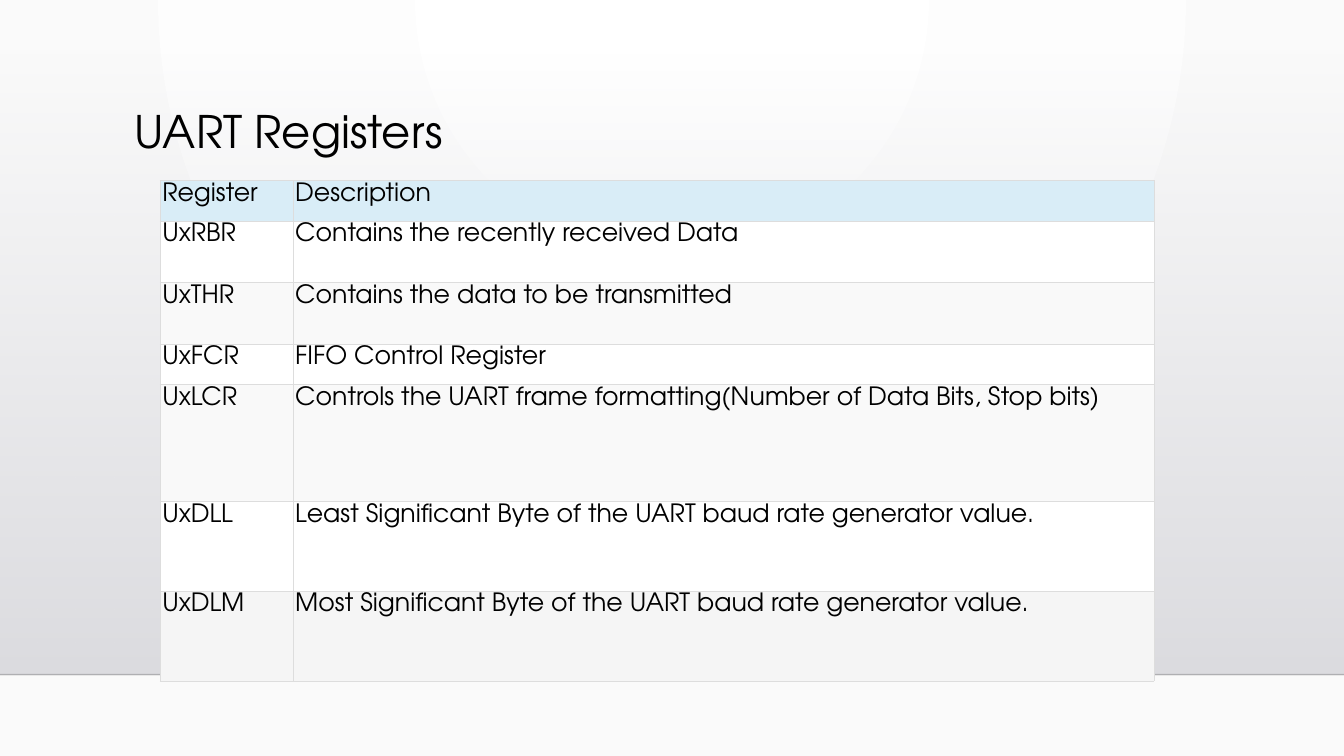
"""Build the UART Registers slide with its register table."""
from lxml import etree
from pptx import Presentation
from pptx.dml.color import RGBColor
from pptx.enum.shapes import MSO_CONNECTOR, MSO_SHAPE
from pptx.enum.text import MSO_ANCHOR
from pptx.oxml import parse_xml
from pptx.oxml.ns import nsdecls, qn
from pptx.util import Cm, Pt

RECTANGLE = MSO_SHAPE.RECTANGLE
STRAIGHT = MSO_CONNECTOR.STRAIGHT
TOP = MSO_ANCHOR.TOP
FONT = "TeX Gyre Adventor"
WIDTH, HEIGHT = Cm(33.87), Cm(19.05)
FLOOR = Cm(17)
INSET = Cm(0.05)
COLORS = {
    "text": "000000",
    "center": "FFFFFF",
    "edge": "FAFAFA",
    "shade_top": "DCDCE0",
    "shade_bottom": "DEDEE2",
    "floor_line": "000001",
    "border": "DDDDDD",
    "header": "D9EDF7",
    "white": "FFFFFF",
    "light": "F9F9F9",
    "last": "F5F5F5",
}
COLUMN_WIDTHS = [3.35, 21.69]
ROWS = [
    ("Register", "Description", 1.02, "header"),
    ("UxRBR", "Contains the recently received Data", 1.55, "white"),
    ("UxTHR", "Contains the data to be transmitted", 1.55, "light"),
    ("UxFCR", "FIFO Control Register", 1.02, "white"),
    ("UxLCR", "Controls the UART frame formatting(Number of Data Bits, Stop bits)", 2.95, "light"),
    ("UxDLL", "Least Significant Byte of the UART baud rate generator value.", 2.26, "white"),
    ("UxDLM", "Most Significant Byte of the UART baud rate generator value.", 2.26, "last"),
]


def rgb(name):
    """Return the named colour."""
    return RGBColor.from_string(COLORS[name])


def replace_gradient(parent, start, end, direction, start_alpha=100):
    """Swap the gradient in parent for a two-stop one with the given direction."""
    gradient = parse_xml(
        f'<a:gradFill {nsdecls("a")} rotWithShape="1"><a:gsLst>'
        f'<a:gs pos="0"><a:srgbClr val="{COLORS[start]}">'
        f'<a:alpha val="{start_alpha * 1000}"/></a:srgbClr></a:gs>'
        f'<a:gs pos="100000"><a:srgbClr val="{COLORS[end]}"/></a:gs>'
        f"</a:gsLst>{direction}</a:gradFill>"
    )
    parent.replace(parent.find(qn("a:gradFill")), gradient)


def set_background(slide):
    """Give the slide a round glow that starts at the top centre."""
    slide.background.fill.gradient()
    properties = slide.element.find(".//" + qn("p:bgPr"))
    direction = (
        '<a:path path="circle">'
        '<a:fillToRect l="43000" t="0" r="43000" b="100000"/></a:path>'
    )
    replace_gradient(properties, "center", "edge", direction)


def add_shade(slide):
    """Add the wall shade that darkens towards the floor."""
    shape = slide.shapes.add_shape(RECTANGLE, 0, Cm(1.3), WIDTH, FLOOR - Cm(1.3))
    shape.shadow.inherit = False
    shape.line.fill.background()
    shape.fill.gradient()
    direction = '<a:lin ang="5400000" scaled="0"/>'
    replace_gradient(shape.element.spPr, "shade_top", "shade_bottom", direction, 0)


def add_floor_line(slide):
    """Add the faint line along the floor."""
    connector = slide.shapes.add_connector(STRAIGHT, 0, FLOOR, WIDTH, FLOOR)
    connector.line.width = Pt(1)
    connector.line.color.rgb = rgb("floor_line")
    properties = connector.element.spPr
    color = properties.find(".//" + qn("a:srgbClr"))
    etree.SubElement(color, qn("a:alpha")).set("val", "20000")
    etree.SubElement(properties, qn("a:effectLst"))


def write_text(text_frame, text, size):
    """Write one paragraph in the slide font and return it."""
    text_frame.word_wrap = True
    paragraph = text_frame.paragraphs[0]
    paragraph.text = text
    paragraph.font.name = FONT
    paragraph.font.size = Pt(size)
    paragraph.font.color.rgb = rgb("text")
    return paragraph


def add_title(slide, text):
    """Add the slide title."""
    shape = slide.shapes.add_textbox(Cm(3.15), Cm(2.64), Cm(26.67), Cm(2.92))
    shape.text_frame.vertical_anchor = TOP
    write_text(shape.text_frame, text, 32).line_spacing = 0.9


def style_cell(cell, fill):
    """Set the insets, borders and fill of a cell."""
    cell.margin_left = cell.margin_right = INSET
    cell.margin_top = cell.margin_bottom = INSET
    cell.vertical_anchor = TOP
    properties = cell._tc.get_or_add_tcPr()
    for side in ("lnL", "lnR", "lnT", "lnB"):
        properties.append(parse_xml(
            f'<a:{side} {nsdecls("a")} w="{Pt(0.5)}"><a:solidFill>'
            f'<a:srgbClr val="{COLORS["border"]}"/></a:solidFill></a:{side}>'
        ))
    cell.fill.solid()
    cell.fill.fore_color.rgb = rgb(fill)


def add_register_table(slide):
    """Add the table of registers and their descriptions."""
    width = Cm(sum(COLUMN_WIDTHS))
    height = Cm(sum(row[2] for row in ROWS))
    table = slide.shapes.add_table(
        len(ROWS), len(COLUMN_WIDTHS), Cm(4.04), Cm(4.55), width, height
    ).table
    table.first_row = table.horz_banding = False
    for column, column_width in zip(table.columns, COLUMN_WIDTHS):
        column.width = Cm(column_width)
    for row, (register, description, row_height, fill) in zip(table.rows, ROWS):
        row.height = Cm(row_height)
        for cell, text in zip(row.cells, (register, description)):
            style_cell(cell, fill)
            write_text(cell.text_frame, text, 18)


def main():
    """Build and save the presentation."""
    presentation = Presentation()
    presentation.slide_width, presentation.slide_height = WIDTH, HEIGHT
    slide = presentation.slides.add_slide(presentation.slide_layouts[6])
    set_background(slide)
    add_shade(slide)
    add_floor_line(slide)
    add_title(slide, "UART Registers")
    add_register_table(slide)
    presentation.save("out.pptx")


if __name__ == "__main__":
    main()
